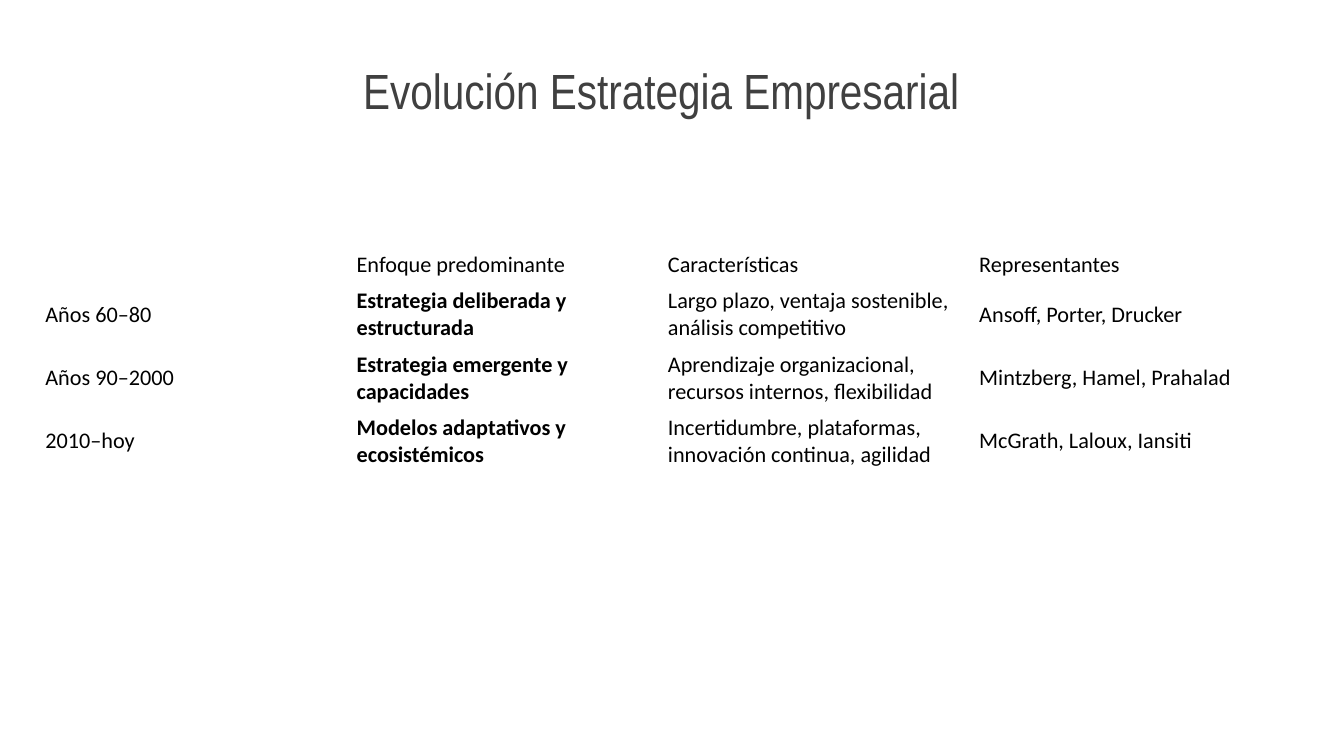
from pptx import Presentation
from pptx.dml.color import RGBColor
from pptx.enum.text import MSO_ANCHOR, PP_ALIGN
from pptx.util import Pt

MIDDLE = MSO_ANCHOR.MIDDLE
CENTER = PP_ALIGN.CENTER
BLACK = RGBColor(0x00, 0x00, 0x00)
DARK_GRAY = RGBColor(0x40, 0x40, 0x40)

TITLE_FONT = {"name": "Arial Narrow", "size": Pt(40), "bold": False}
CELL_FONT = {"name": "Calibri", "size": Pt(18), "bold": False}
APPROACH_FONT = {**CELL_FONT, "bold": True}

HEADER_HEIGHT, ROW_HEIGHT = 29.2, 51.2
APPROACH_COLUMN = 1
ERAS = [
    ("", "Enfoque predominante", "Características", "Representantes"),
    ("Años 60–80", "Estrategia deliberada y estructurada",
     "Largo plazo, ventaja sostenible, análisis competitivo",
     "Ansoff, Porter, Drucker"),
    ("Años 90–2000", "Estrategia emergente y capacidades",
     "Aprendizaje organizacional, recursos internos, flexibilidad",
     "Mintzberg, Hamel, Prahalad"),
    ("2010–hoy", "Modelos adaptativos y ecosistémicos",
     "Incertidumbre, plataformas, innovación continua, agilidad",
     "McGrath, Laloux, Iansiti"),
]


def set_font(font, values, color):
    for name, value in values.items():
        setattr(font, name, value)
    font.color.rgb = color


def add_title(page, left, top, width, height):
    box = page.shapes.add_textbox(Pt(left), Pt(top), Pt(width), Pt(height))
    frame = box.text_frame
    frame.word_wrap = True
    frame.vertical_anchor = MIDDLE
    para = frame.paragraphs[0]
    para.alignment = CENTER
    para.line_spacing = 0.9
    span = para.add_run()
    span.text = "Evolución Estrategia Empresarial"
    set_font(span.font, TITLE_FONT, DARK_GRAY)


def add_era_table(page, left, top, width):
    heights = [HEADER_HEIGHT] + [ROW_HEIGHT] * (len(ERAS) - 1)
    table = page.shapes.add_table(
        len(ERAS), len(ERAS[0]), Pt(left), Pt(top), Pt(width), Pt(sum(heights))
    ).table
    table.first_row = False
    table.horz_banding = False

    # Rows and cells
    for row_index, (texts, height) in enumerate(zip(ERAS, heights)):
        table.rows[row_index].height = Pt(height)
        for column_index, text in enumerate(texts):
            cell = table.cell(row_index, column_index)
            cell.fill.background()
            cell.vertical_anchor = MIDDLE
            cell.text = text
            is_approach = row_index > 0 and column_index == APPROACH_COLUMN
            values = APPROACH_FONT if is_approach else CELL_FONT
            set_font(cell.text_frame.paragraphs[0].font, values, BLACK)
            for span in cell.text_frame.paragraphs[0].runs:
                set_font(span.font, values, BLACK)


def main():
    deck = Presentation()
    deck.slide_width, deck.slide_height = Pt(1088), Pt(612)
    page = deck.slides.add_slide(deck.slide_layouts[6])
    add_era_table(page, 29.5, 200, 1008)
    add_title(page, 214.5, 24.5, 641.5, 102)
    deck.save("out.pptx")


if __name__ == "__main__":
    main()
